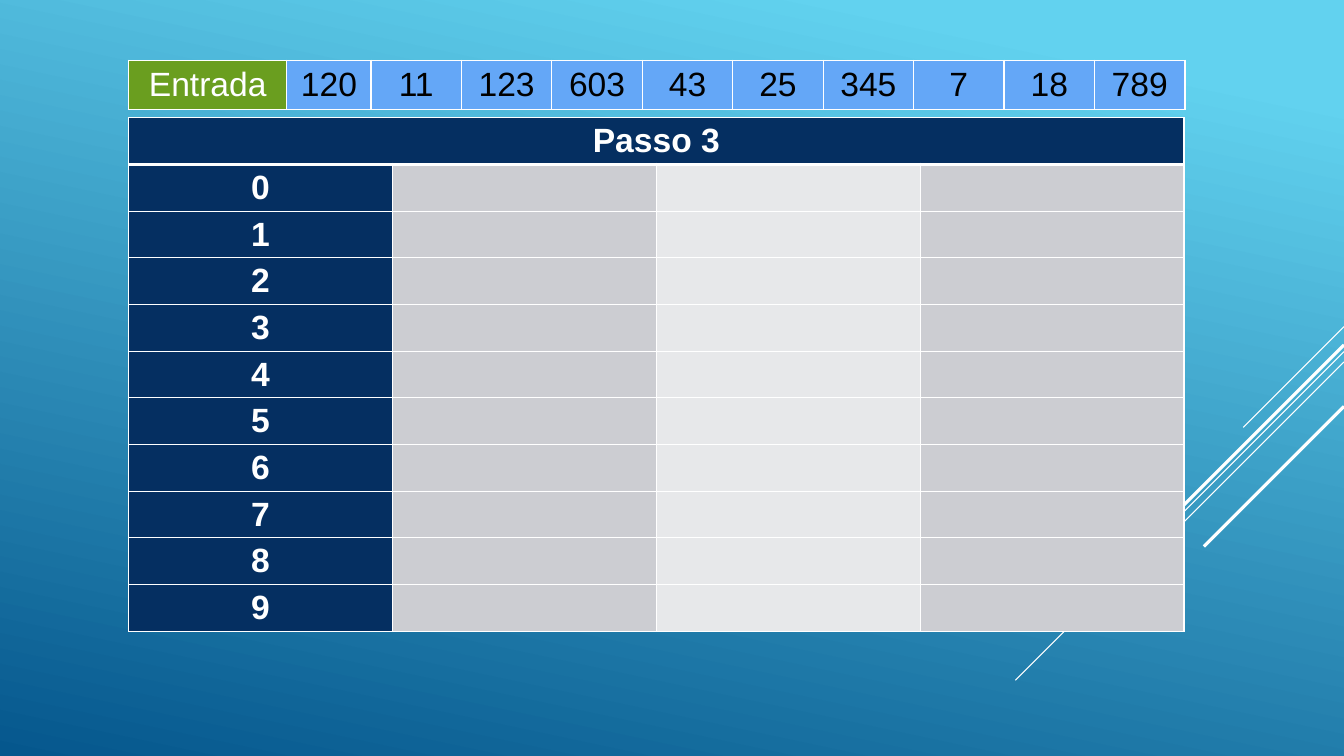
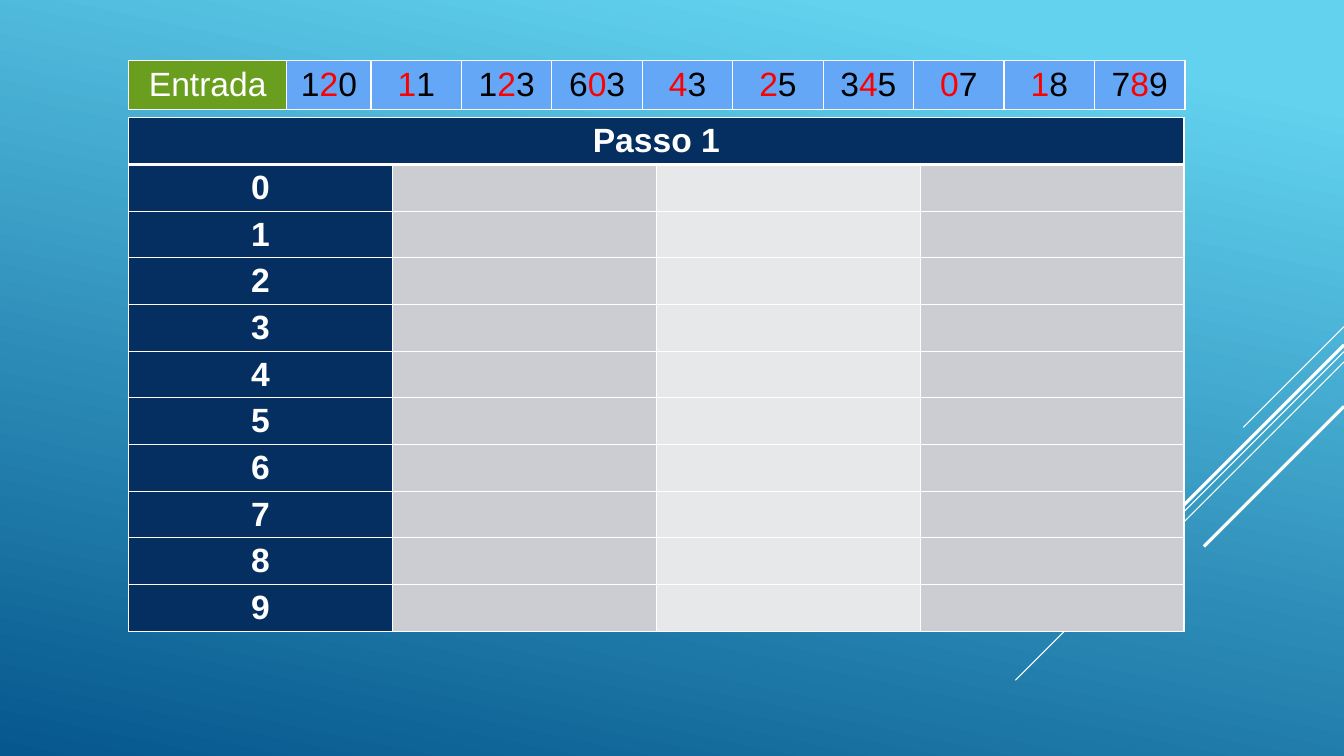
from copy import deepcopy
from dataclasses import dataclass

from lxml import etree
from pptx import Presentation
from pptx import util as u
from pptx.dml.color import RGBColor
from pptx.enum import shapes, text
from pptx.oxml.ns import qn

COLORS = {
    "sky": "62D2EF", "deep": "05578D", "navy": "052F61", "green": "6A9E1F",
    "blue": "64A7F7", "gray": "CCCDD2", "pale": "E7E8EA",
    "white": "FFFFFF", "black": "000000", "red": "FF0000",
}
FONT = "Arial"
FONT_SIZE = u.Pt(24)
PAGE_WIDTH, PAGE_HEIGHT = 33.87, 19.05
LEFT = 3.24


@dataclass(frozen=True)
class Ray:
    """Diagonal falling at 45 degrees from the right edge."""
    top: float
    length: float
    weight: float


@dataclass(frozen=True)
class Span:
    text: str
    color: str = "white"
    bold: bool = False


@dataclass(frozen=True)
class Step:
    title: str
    numbers: tuple[str, ...]
    mark_tens: bool = False


RAYS = [
    Ray(8.23, 2.54, 0.75),
    Ray(8.86, 8.28, 0.75),
    Ray(9.12, 5.27, 0.75),
    Ray(8.69, 4.85, 2.25),
    Ray(10.24, 3.53, 2.25),
]
STEPS = [
    Step("Passo 3", ("120", "11", "123", "603", "43", "25", "345", "7", "18", "789")),
    Step("Passo 1", ("120", "11", "123", "603", "43", "25", "345", "07", "18", "789"),
         mark_tens=True),
]


def rgb(name: str) -> RGBColor:
    return RGBColor.from_string(COLORS[name])


# Shared background
def paint_background(deck) -> None:
    fill = deck.slide_master.background.fill
    fill.gradient()
    fill.gradient_angle = 258
    stop_list = deck.slide_master.element.find(".//" + qn("a:gsLst"))
    stop_list.insert(1, deepcopy(stop_list[0]))
    stops = [(0, "sky"), (0.1, "sky"), (1, "deep")]
    for stop, (position, color) in zip(fill.gradient_stops, stops):
        stop.position = position
        stop.color.rgb = rgb(color)


def draw_ray(page, ray: Ray) -> None:
    line = page.shapes.add_connector(
        shapes.MSO_CONNECTOR.STRAIGHT, u.Cm(PAGE_WIDTH), u.Cm(ray.top),
        u.Cm(PAGE_WIDTH - ray.length), u.Cm(ray.top + ray.length))
    line.line.color.rgb = rgb("white")
    line.line.width = u.Pt(ray.weight)
    etree.SubElement(line.element.spPr, qn("a:effectLst"))


# Tables
def add_plain_table(page, top: float, widths: list[float], heights: list[float]):
    table = page.shapes.add_table(
        len(heights), len(widths), u.Cm(LEFT), u.Cm(top),
        u.Cm(sum(widths)), u.Cm(sum(heights))).table
    table.first_row = table.horz_banding = False
    for column, width in zip(table.columns, widths):
        column.width = u.Cm(width)
    for row, height in zip(table.rows, heights):
        row.height = u.Cm(height)
    return table


def style_cell(cell, fill: str, top: float = 1, bottom: float = 1) -> None:
    properties = cell._tc.get_or_add_tcPr()
    for side, weight in (("L", 1), ("R", 1), ("T", top), ("B", bottom)):
        border = etree.SubElement(properties, qn(f"a:ln{side}"), w=str(u.Pt(weight)))
        solid = etree.SubElement(border, qn("a:solidFill"))
        etree.SubElement(solid, qn("a:srgbClr"), val=COLORS["white"])
    cell.fill.solid()
    cell.fill.fore_color.rgb = rgb(fill)


def write_cell(cell, *spans: Span) -> None:
    cell.vertical_anchor = text.MSO_ANCHOR.MIDDLE
    para = cell.text_frame.paragraphs[0]
    para.alignment = text.PP_ALIGN.CENTER
    for span in spans:
        run = para.add_run()
        run.text = span.text
        run.font.name = FONT
        run.font.size = FONT_SIZE
        run.font.bold = span.bold
        run.font.color.rgb = rgb(span.color)


def draw_buckets(page, title: str) -> None:
    table = add_plain_table(page, 2.97, [6.65] * 4, [12.94 / 11] * 11)
    body_fills = ("navy", "gray", "pale", "gray")
    for row in range(11):
        for column, body_fill in enumerate(body_fills):
            cell = table.cell(row, column)
            # The header is set off by a heavier rule
            style_cell(cell, body_fill if row else "navy",
                       top=3 if row == 1 else 1, bottom=1 if row else 3)
            cell.margin_top = cell.margin_bottom = u.Cm(0.1)
        label = str(row - 1) if row else title
        write_cell(table.cell(row, 0), Span(label, bold=True))
    table.cell(0, 0).merge(table.cell(0, 3))


def number_spans(number: str, mark_tens: bool) -> list[Span]:
    if not mark_tens:
        return [Span(number, "black")]
    parts = [(number[:-2], "black"), (number[-2], "red"), (number[-1], "black")]
    return [Span(part, color) for part, color in parts if part]


def draw_input(page, step: Step) -> None:
    table = add_plain_table(page, 1.52, [3.99, 2.12] + [2.28] * 9, [1.23])
    style_cell(table.cell(0, 0), "green")
    write_cell(table.cell(0, 0), Span("Entrada"))
    for column, number in enumerate(step.numbers, start=1):
        cell = table.cell(0, column)
        style_cell(cell, "blue")
        write_cell(cell, *number_spans(number, step.mark_tens))


def main() -> None:
    deck = Presentation()
    deck.slide_width, deck.slide_height = u.Cm(PAGE_WIDTH), u.Cm(PAGE_HEIGHT)
    paint_background(deck)
    for step in STEPS:
        page = deck.slides.add_slide(deck.slide_layouts[6])
        for ray in RAYS:
            draw_ray(page, ray)
        draw_buckets(page, step.title)
        draw_input(page, step)
    deck.save("out.pptx")


if __name__ == "__main__":
    main()
